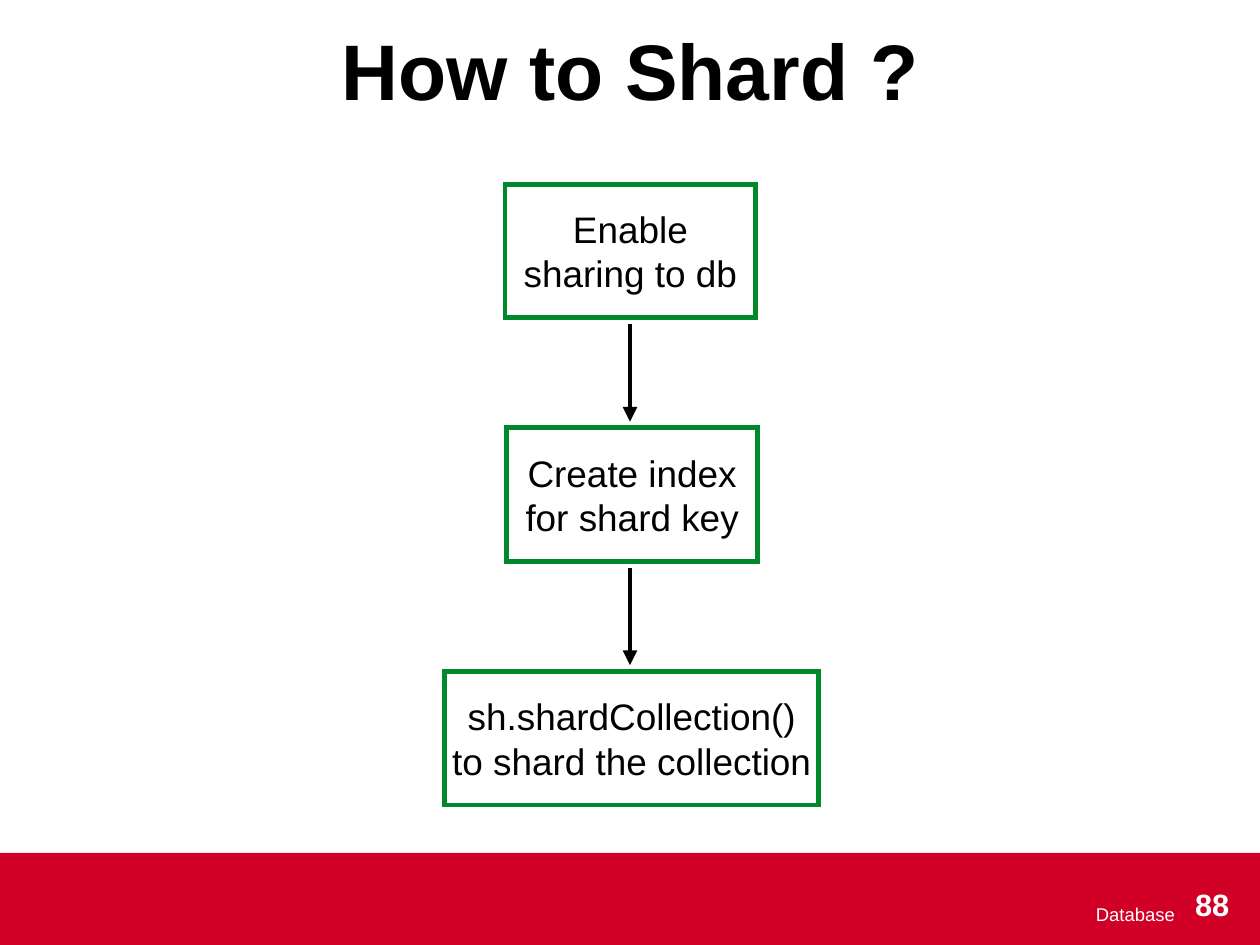
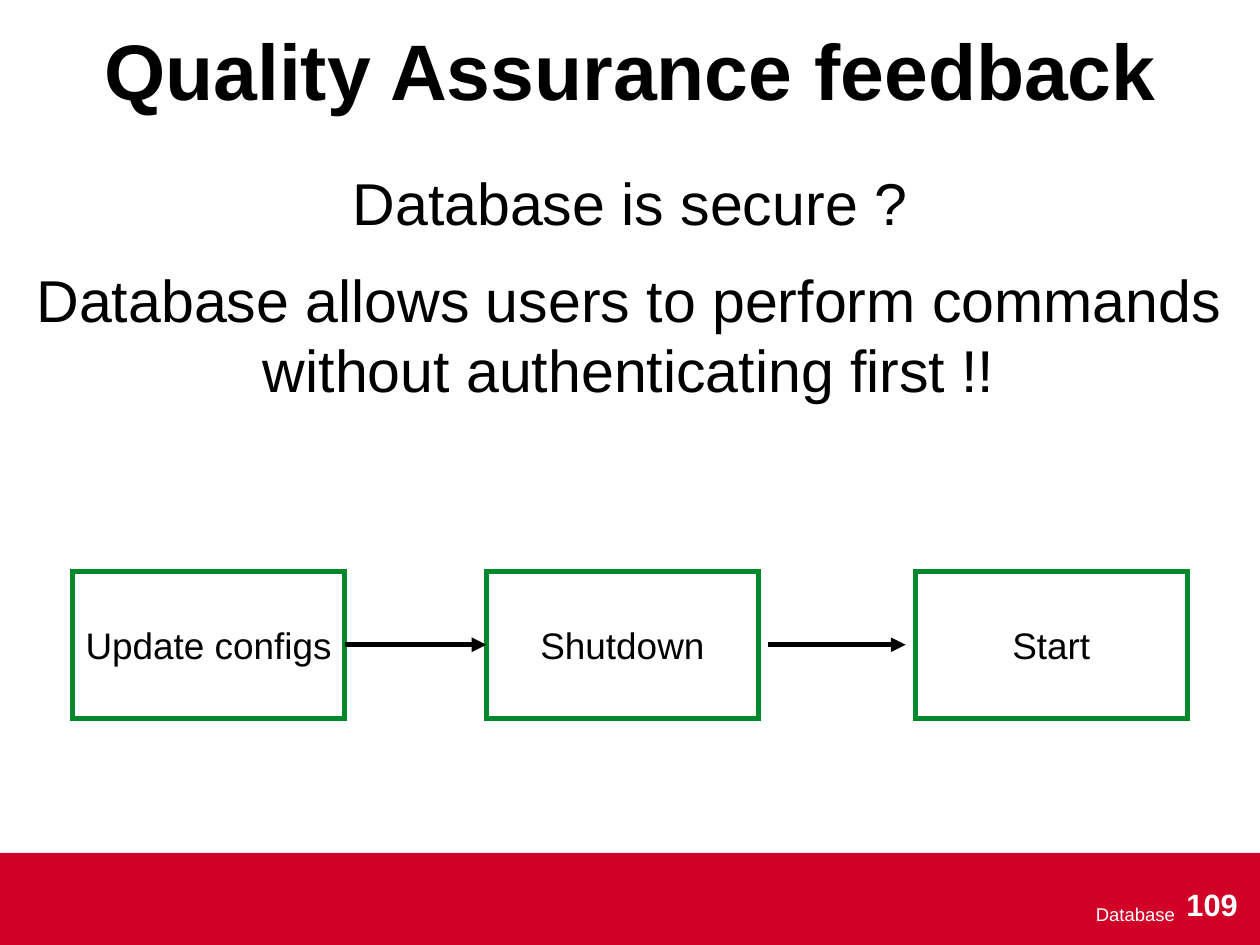
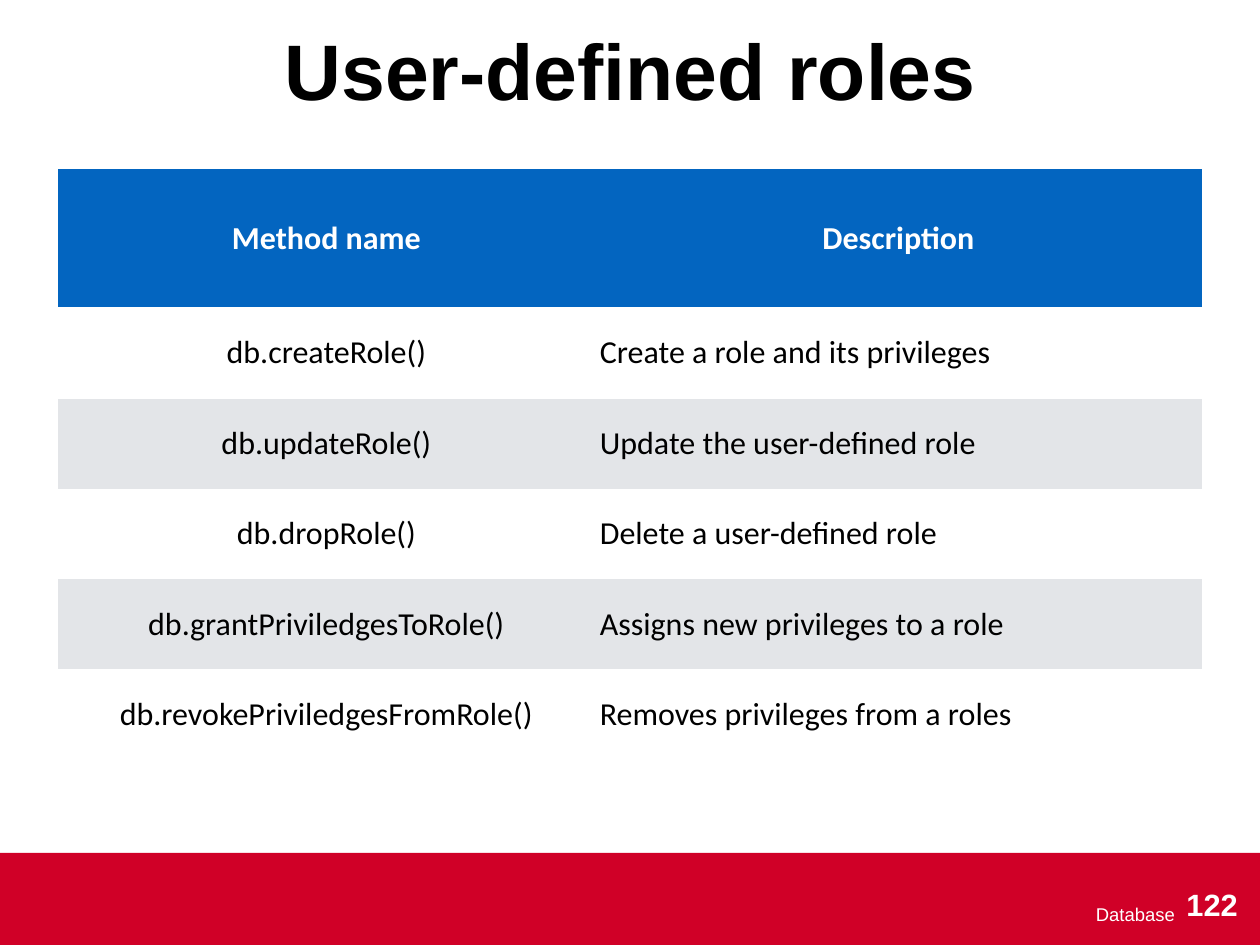
"""Build three database slides: two flow charts and a table of role methods."""
from dataclasses import dataclass
from typing import Any, Optional

from lxml import etree
from pptx import Presentation
from pptx import util as u
from pptx.dml.color import RGBColor
from pptx.enum import shapes, text
from pptx.oxml import ns

COLORS = {
    "band": "D00027", "outline": "00882B", "header": "0365C0",
    "stripe": "E3E5E8", "white": "FFFFFF", "black": "000000",
}
WIDTH, HEIGHT = 14.22, 10.67
INSET = u.Inches(0.06)
LINE_WIDTH = u.Pt(4)
NO_GRID_STYLE = "{2D5ABB26-0587-4C30-8999-92F81FD0307C}"
MARGINS = dict.fromkeys(("margin_left", "margin_top", "margin_right", "margin_bottom"), INSET)
CENTER, LEFT, RIGHT = text.PP_ALIGN.CENTER, text.PP_ALIGN.LEFT, text.PP_ALIGN.RIGHT
MIDDLE, TOP = text.MSO_ANCHOR.MIDDLE, text.MSO_ANCHOR.TOP


@dataclass(frozen=True)
class Area:
    left: float
    top: float
    width: float
    height: float

    def lengths(self) -> list[u.Length]:
        return [u.Inches(value) for value in (self.left, self.top, self.width, self.height)]


@dataclass(frozen=True)
class TextStyle:
    size: float
    color: str = "black"
    bold: bool = False
    align: Any = CENTER
    font: str = "Arial"


@dataclass(frozen=True)
class Step:
    label: str
    area: Area


@dataclass(frozen=True)
class Arrow:
    start: tuple[float, float]
    end: tuple[float, float]
    joins: Optional[tuple[int, int]] = None


TITLE = TextStyle(64, bold=True)
STATEMENT = TextStyle(48)
STEP = TextStyle(30)
FOOTER = TextStyle(15, "white", align=RIGHT)
NUMBER = TextStyle(25, "white", bold=True)
HEADER = TextStyle(26, "white", bold=True, font="Calibri")
METHOD = TextStyle(26, font="Calibri")
DESCRIPTION = TextStyle(26, align=LEFT, font="Calibri")

SHARD_STEPS = [
    Step("Enable sharing to db", Area(5.7, 2.08, 2.83, 1.51)),
    Step("Create index for shard key", Area(5.72, 4.83, 2.83, 1.51)),
    Step("sh.shardCollection() to shard the collection", Area(5.02, 7.58, 4.22, 1.51)),
]
SHARD_ARROWS = [Arrow((7.11, top), (7.11, top + 1.1)) for top in (3.66, 6.41)]
CONFIG_STEPS = [
    Step(label, Area(left, 6.45, 3.07, 1.66))
    for label, left in (("Update configs", 0.82), ("Shutdown", 5.49), ("Start", 10.33))
]
CONFIG_ARROWS = [
    Arrow((3.89, 7.28), (5.49, 7.28), joins=(0, 1)),
    Arrow((8.67, 7.28), (10.22, 7.28)),
]
STATEMENTS = [
    ("Database is secure ?", Area(0, 1.85, WIDTH, 0.85)),
    ("Database allows users to perform commands without authenticating first !!",
     Area(-0.02, 2.96, 14.24, 1.62)),
]
ROLE_ROWS = [
    ("Method name", "Description"),
    ("db.createRole()", "Create a role and its privileges"),
    ("db.updateRole()", "Update the user-defined role"),
    ("db.dropRole()", "Delete a user-defined role"),
    ("db.grantPriviledgesToRole()", "Assigns new privileges to a role"),
    ("db.revokePriviledgesFromRole()", "Removes privileges from a roles"),
]
COLUMN_WIDTHS = (6.05, 6.86)
ROW_HEIGHTS = (1.56, 1.03, 1.02, 1.02, 1.02, 1.02)


def rgb(name: str) -> RGBColor:
    return RGBColor.from_string(COLORS[name])


def apply(target: Any, values: dict[str, Any]) -> None:
    for name, value in values.items():
        setattr(target, name, value)


def fill_solid(target: Any, color: str) -> None:
    target.fill.solid()
    target.fill.fore_color.rgb = rgb(color)


def draw_line(target: Any, color: str) -> Any:
    target.line.color.rgb = rgb(color)
    target.line.width = LINE_WIDTH
    outline = target.element.spPr.find(ns.qn("a:ln"))
    etree.SubElement(outline, ns.qn("a:miter"), lim="800000")
    return outline


def write(frame: Any, content: str, style: TextStyle) -> None:
    paragraph = frame.paragraphs[0]
    paragraph.alignment = style.align
    run = paragraph.add_run()
    run.text = content
    apply(run.font, {"name": style.font, "size": u.Pt(style.size), "bold": style.bold})
    run.font.color.rgb = rgb(style.color)


def write_shape(shape: Any, content: str, style: TextStyle,
                anchor: Any = MIDDLE, wrap: bool = True) -> None:
    apply(shape.text_frame, {**MARGINS, "word_wrap": wrap, "vertical_anchor": anchor,
                             "auto_size": text.MSO_AUTO_SIZE.NONE})
    write(shape.text_frame, content, style)


def add_text(slide: Any, area: Area, content: str, style: TextStyle,
             anchor: Any = MIDDLE, wrap: bool = True) -> None:
    write_shape(slide.shapes.add_textbox(*area.lengths()), content, style, anchor, wrap)


def add_rectangle(slide: Any, area: Area) -> Any:
    shape = slide.shapes.add_shape(shapes.MSO_SHAPE.RECTANGLE, *area.lengths())
    shape.shadow.inherit = False
    return shape


def add_step(slide: Any, step: Step) -> Any:
    shape = add_rectangle(slide, step.area)
    shape.fill.background()
    draw_line(shape, "outline")
    write_shape(shape, step.label, STEP)
    return shape


def add_arrow(slide: Any, arrow: Arrow, boxes: list[Any]) -> None:
    ends = [u.Inches(value) for value in (*arrow.start, *arrow.end)]
    connector = slide.shapes.add_connector(shapes.MSO_CONNECTOR.STRAIGHT, *ends)
    outline = draw_line(connector, "black")
    etree.SubElement(outline, ns.qn("a:tailEnd"), type="triangle")
    etree.SubElement(connector.element.spPr, ns.qn("a:effectLst"))
    if arrow.joins:
        first, second = arrow.joins
        connector.begin_connect(boxes[first], 3)
        connector.end_connect(boxes[second], 1)


def add_flow(slide: Any, steps: list[Step], arrows: list[Arrow]) -> None:
    boxes = [add_step(slide, step) for step in steps]
    for arrow in arrows:
        add_arrow(slide, arrow, boxes)


def add_roles_table(slide: Any) -> None:
    area = Area(0.66, 1.91, sum(COLUMN_WIDTHS), sum(ROW_HEIGHTS))
    frame = slide.shapes.add_table(len(ROLE_ROWS), len(COLUMN_WIDTHS), *area.lengths())
    table = frame.table
    frame.element.find(".//" + ns.qn("a:tableStyleId")).text = NO_GRID_STYLE
    for column, width in zip(table.columns, COLUMN_WIDTHS):
        column.width = u.Inches(width)
    for index, (row, height, contents) in enumerate(zip(table.rows, ROW_HEIGHTS, ROLE_ROWS)):
        row.height = u.Inches(height)
        styles = (METHOD, DESCRIPTION) if index else (HEADER, HEADER)
        color = ("white" if index % 2 else "stripe") if index else "header"
        for cell, content, style in zip(row.cells, contents, styles):
            apply(cell, {**MARGINS, "vertical_anchor": MIDDLE})
            fill_solid(cell, color)
            write(cell.text_frame, content, style)


def add_slide(presentation: Any, title: str, number: int) -> Any:
    slide = presentation.slides.add_slide(presentation.slide_layouts[5])
    heading = slide.shapes.title
    places = Area(0, 0.23, WIDTH, 1.11).lengths()
    apply(heading, dict(zip(("left", "top", "width", "height"), places)))
    write_shape(heading, title, TITLE)
    band = add_rectangle(slide, Area(-0.01, 9.63, 14.24, 1.11))
    fill_solid(band, "band")
    band.line.fill.background()
    add_text(slide, Area(4.98, 9.98, 8.34, 0.69), "Database", FOOTER)
    add_text(slide, Area(13.33, 9.94, 0.7, 0.5), str(number), NUMBER, TOP, wrap=False)
    return slide


def main() -> None:
    presentation = Presentation()
    apply(presentation, {"slide_width": u.Inches(WIDTH), "slide_height": u.Inches(HEIGHT)})

    shard_slide = add_slide(presentation, "How to Shard ?", 88)
    add_flow(shard_slide, SHARD_STEPS, SHARD_ARROWS)

    feedback_slide = add_slide(presentation, "Quality Assurance feedback", 109)
    for content, area in STATEMENTS:
        add_text(feedback_slide, area, content, STATEMENT)
    add_flow(feedback_slide, CONFIG_STEPS, CONFIG_ARROWS)

    roles_slide = add_slide(presentation, "User-defined roles", 122)
    add_roles_table(roles_slide)

    presentation.save("out.pptx")


if __name__ == "__main__":
    main()
